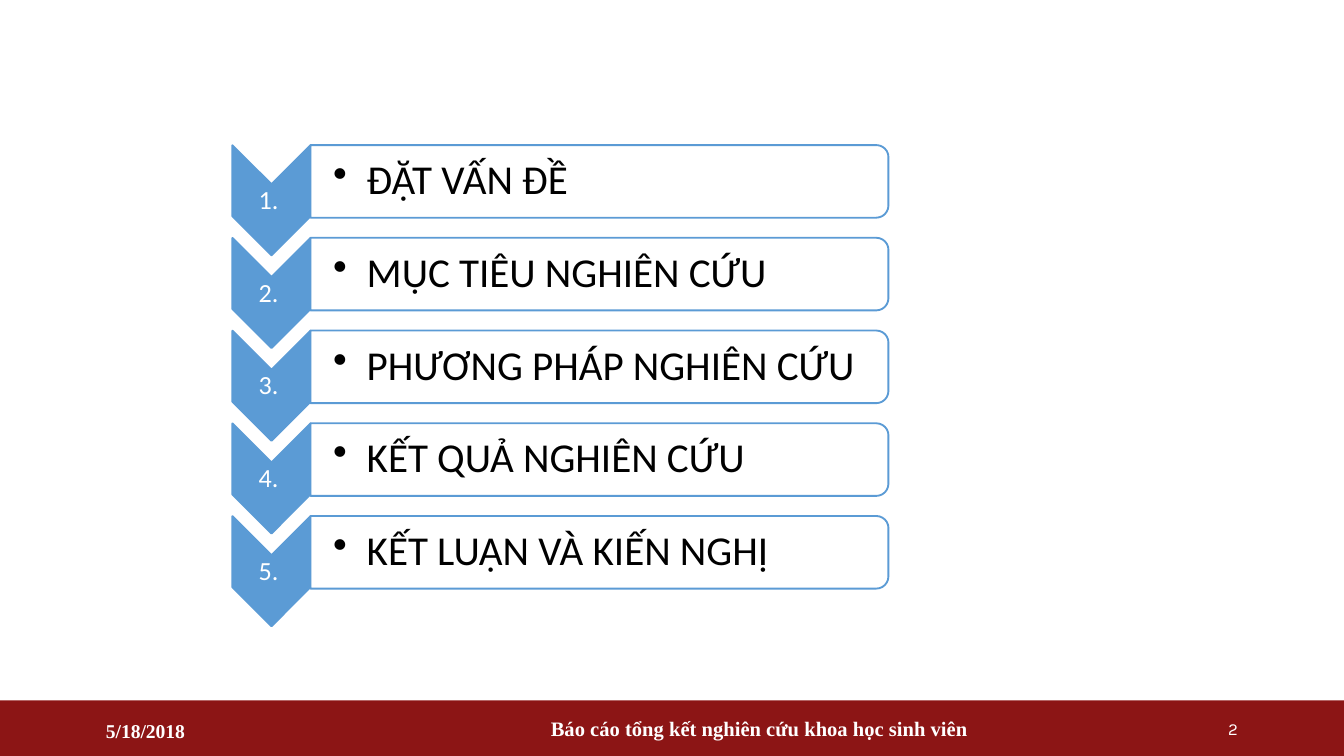
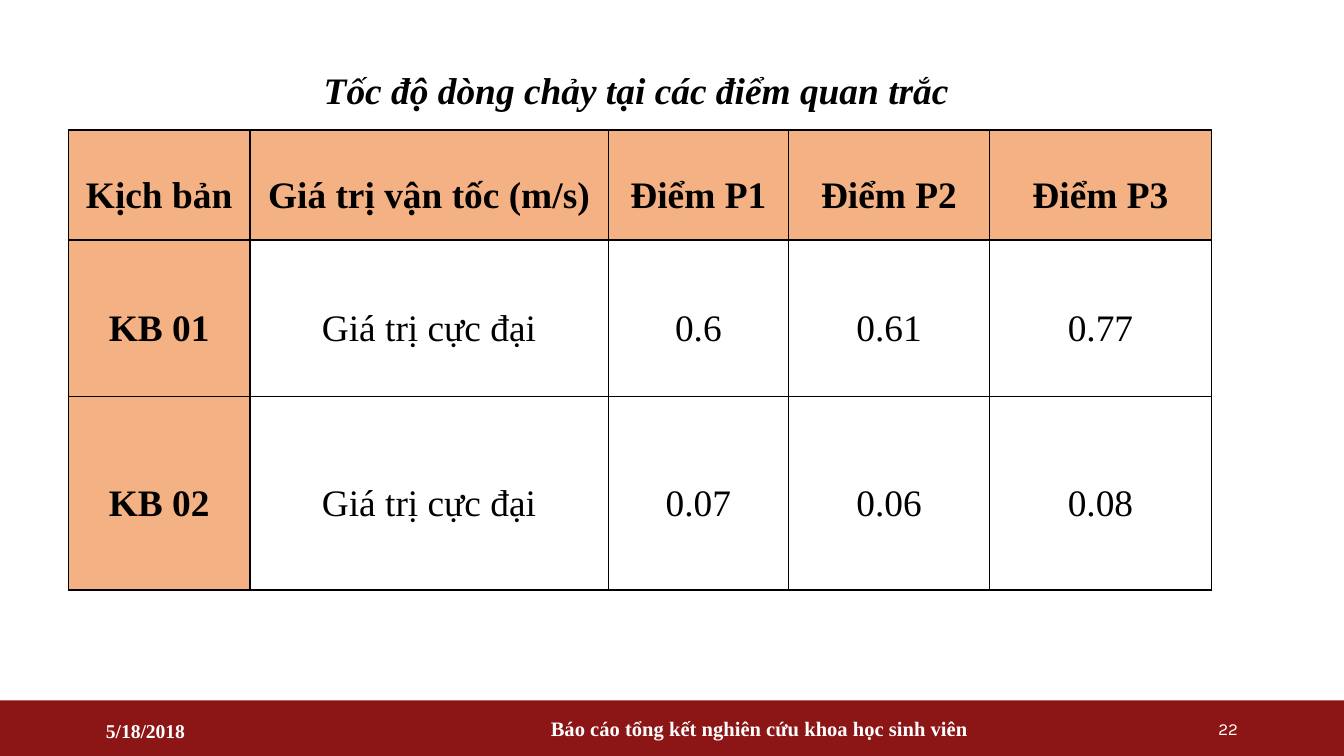
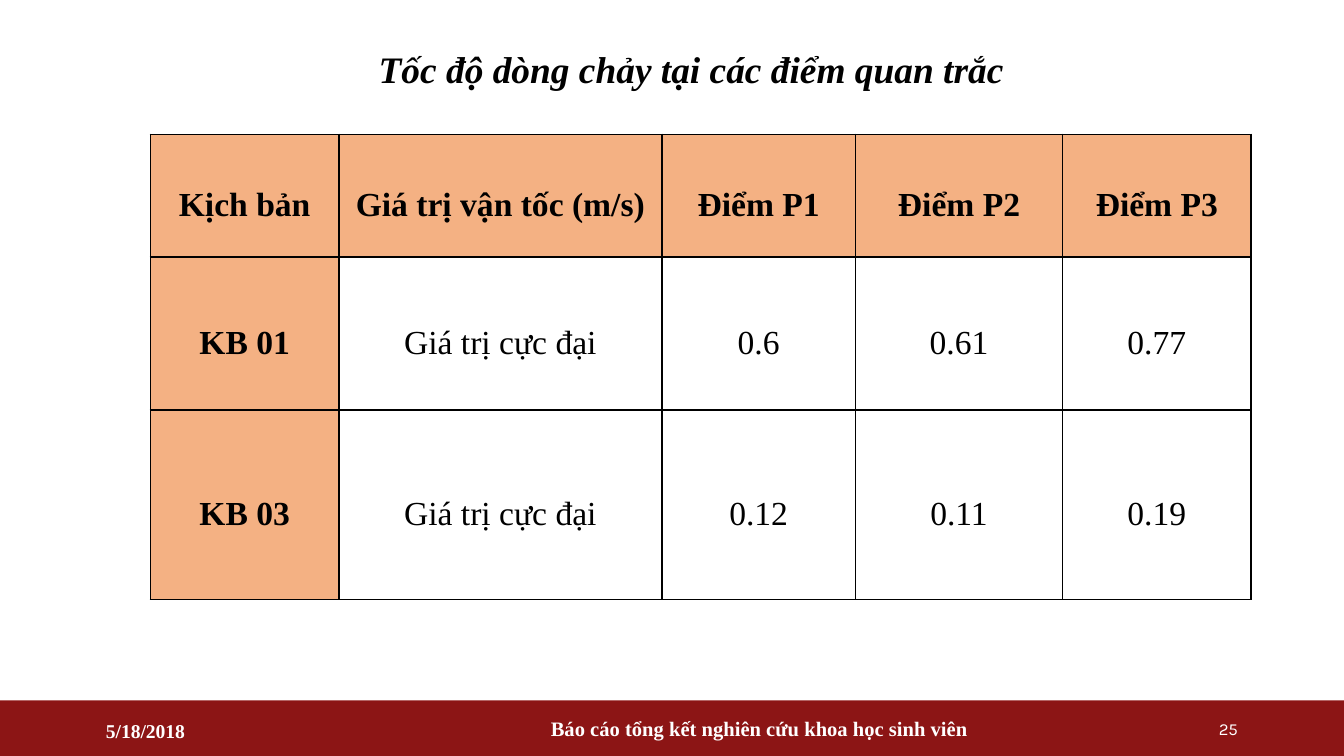
from lxml.etree import SubElement
from pptx import Presentation
from pptx.dml.color import RGBColor
from pptx.enum.shapes import MSO_SHAPE as SHAPE
from pptx.enum.text import MSO_ANCHOR as ANCHOR, MSO_AUTO_SIZE as FIT, PP_ALIGN as ALIGN
from pptx.oxml import parse_xml
from pptx.oxml.ns import nsdecls, qn
from pptx.util import Pt

CARDINAL = RGBColor(0x8C, 0x15, 0x15)
BLUE = RGBColor(0x5B, 0x9B, 0xD5)
PEACH = RGBColor(0xF4, 0xB1, 0x83)
WHITE = RGBColor(0xFF, 0xFF, 0xFF)
BLACK = RGBColor(0, 0, 0)
SERIF = "Times New Roman"


def format_text(p, size, font, color, bold=False, align=ALIGN.LEFT):
    p.alignment = align
    for r in p.runs:
        r.font.size = Pt(size)
        r.font.name = font
        r.font.color.rgb = color
        r.font.bold = bold


def add_text(s, box, text, insets=(7.2, 3.6, 7.2, 3.6)):
    tf = s.shapes.add_textbox(*[Pt(v) for v in box]).text_frame
    tf.word_wrap = True
    tf.vertical_anchor = ANCHOR.MIDDLE
    tf.margin_left, tf.margin_top, tf.margin_right, tf.margin_bottom = [Pt(v) for v in insets]
    tf.text = text
    return tf.paragraphs[0]


prs = Presentation()
prs.slide_width = Pt(720)
prs.slide_height = Pt(405)

s = prs.slides.add_slide(prs.slide_layouts[6])
band = s.shapes.add_shape(SHAPE.RECTANGLE, 0, Pt(375.2), Pt(720), Pt(29.8))
band.shadow.inherit = False
band.fill.solid()
band.fill.fore_color.rgb = CARDINAL
band.line.fill.background()
prs.slide_master.shapes._spTree.insert(2, band._element)

agenda = [
    "ĐẶT VẤN ĐỀ",
    "MỤC TIÊU NGHIÊN CỨU",
    "PHƯƠNG PHÁP NGHIÊN CỨU",
    "KẾT QUẢ NGHIÊN CỨU",
    "KẾT LUẬN VÀ KIẾN NGHỊ",
]
for i, topic in enumerate(agenda):
    y = 49.68 * i
    for kind, box, color in (
        (SHAPE.CHEVRON, (115.9, 86.4 + y, 59, 41.8), BLUE),
        (SHAPE.ROUND_2_SAME_RECTANGLE, (301.7, y - 57.6, 38.9, 309.6), WHITE),
    ):
        sp = s.shapes.add_shape(kind, *[Pt(v) for v in box])
        sp.rotation = 90
        sp.shadow.inherit = False
        sp.fill.solid()
        sp.fill.fore_color.rgb = color
        sp.line.color.rgb = BLUE
        sp.line.width = Pt(1)
    SubElement(sp._element.spPr.find(".//" + qn("a:srgbClr")), qn("a:alpha"), val="90000")

    p = add_text(s, (124.6, 98.6 + y, 41.8, 18), f"{i + 1}. ", (0.7, 0.7, 0.7, 0.7))
    p.line_spacing = 0.9
    format_text(p, 14, "Calibri", WHITE, align=ALIGN.CENTER)

    p = add_text(s, (166.3, 79.9 + y, 307.4, 34.6), topic, (12.2, 1.4, 1.4, 1.4))
    p.level = 1
    pPr = p._p.get_or_add_pPr()
    pPr.set("marL", str(Pt(18)))
    pPr.set("indent", str(Pt(-18)))
    SubElement(pPr, qn("a:buChar"), char="•")
    p.line_spacing = 0.9
    format_text(p, 22, "Calibri", BLACK)

header = ["Kịch bản", "Giá trị vận tốc (m/s)", "Điểm P1", "Điểm P2", "Điểm P3"]
base = ["KB 01", "Giá trị cực đại", "0.6", "0.61", "0.77"]
tables = [
    ((139, 32.4, 403.9, 31.7), (36.7, 69.8), 20,
     (97.2, 192, 96.5, 107.8, 118.8), (58.8, 83.8, 103.6),
     ["KB 02", "Giá trị cực đại", "0.07", "0.06", "0.08"]),
    ((167, 20.9, 406.8, 31.7), (80.6, 72), 18,
     (101, 173, 103.7, 111, 101), (65.8, 82, 101.5),
     ["KB 03", "Giá trị cực đại", "0.12", "0.11", "0.19"]),
]
for title_box, corner, size, widths, heights, scenario in tables:
    s = prs.slides.add_slide(prs.slide_layouts[5])
    title = s.shapes.title
    title.left, title.top, title.width, title.height = [Pt(v) for v in title_box]
    tf = title.text_frame
    tf.text = "Tốc độ dòng chảy tại các điểm quan trắc"
    tf.word_wrap = True
    tf.auto_size = FIT.SHAPE_TO_FIT_TEXT
    tf.vertical_anchor = ANCHOR.TOP
    format_text(tf.paragraphs[0], 20, SERIF, BLACK, True, ALIGN.CENTER)
    tf.paragraphs[0].runs[0].font.italic = True

    table = s.shapes.add_table(3, 5, Pt(corner[0]), Pt(corner[1]),
                               Pt(sum(widths)), Pt(sum(heights))).table
    for column, width in zip(table.columns, widths):
        column.width = Pt(width)
    for row, height in zip(table.rows, heights):
        row.height = Pt(height)
    for i, values in enumerate((header, base, scenario)):
        for j, value in enumerate(values):
            cell = table.cell(i, j)
            heading = i == 0 or j == 0
            cell.fill.solid()
            cell.fill.fore_color.rgb = PEACH if heading else WHITE
            cell.vertical_anchor = ANCHOR.MIDDLE
            cell.margin_left = cell.margin_right = Pt(3.6)
            cell.margin_top = cell.margin_bottom = 0
            cell.text = value
            p = cell.text_frame.paragraphs[0]
            p.line_spacing = 1.5
            p.space_after = Pt(6)
            format_text(p, size, SERIF, BLACK, heading, ALIGN.CENTER)
            for k, side in enumerate(("lnL", "lnR", "lnT", "lnB")):
                cell._tc.tcPr.insert(k, parse_xml(
                    f'<a:{side} {nsdecls("a")} w="{Pt(1)}"><a:solidFill>'
                    f'<a:srgbClr val="{BLACK}"/></a:solidFill></a:{side}>'))

for s, number in zip(prs.slides, ("2", "22", "25")):
    p = add_text(s, (49.7, 380.9, 89.3, 21.6), "5/18/2018")
    format_text(p, 10.5, SERIF, WHITE, True)
    p = add_text(s, (251.3, 379.6, 311, 21.6), "Báo cáo tổng kết nghiên cứu khoa học sinh viên")
    format_text(p, 11, SERIF, WHITE, True, ALIGN.CENTER)
    p = add_text(s, (571.7, 379.6, 98.6, 21.6), number)
    format_text(p, 9, "Karla", WHITE, align=ALIGN.RIGHT)

prs.save("out.pptx")
